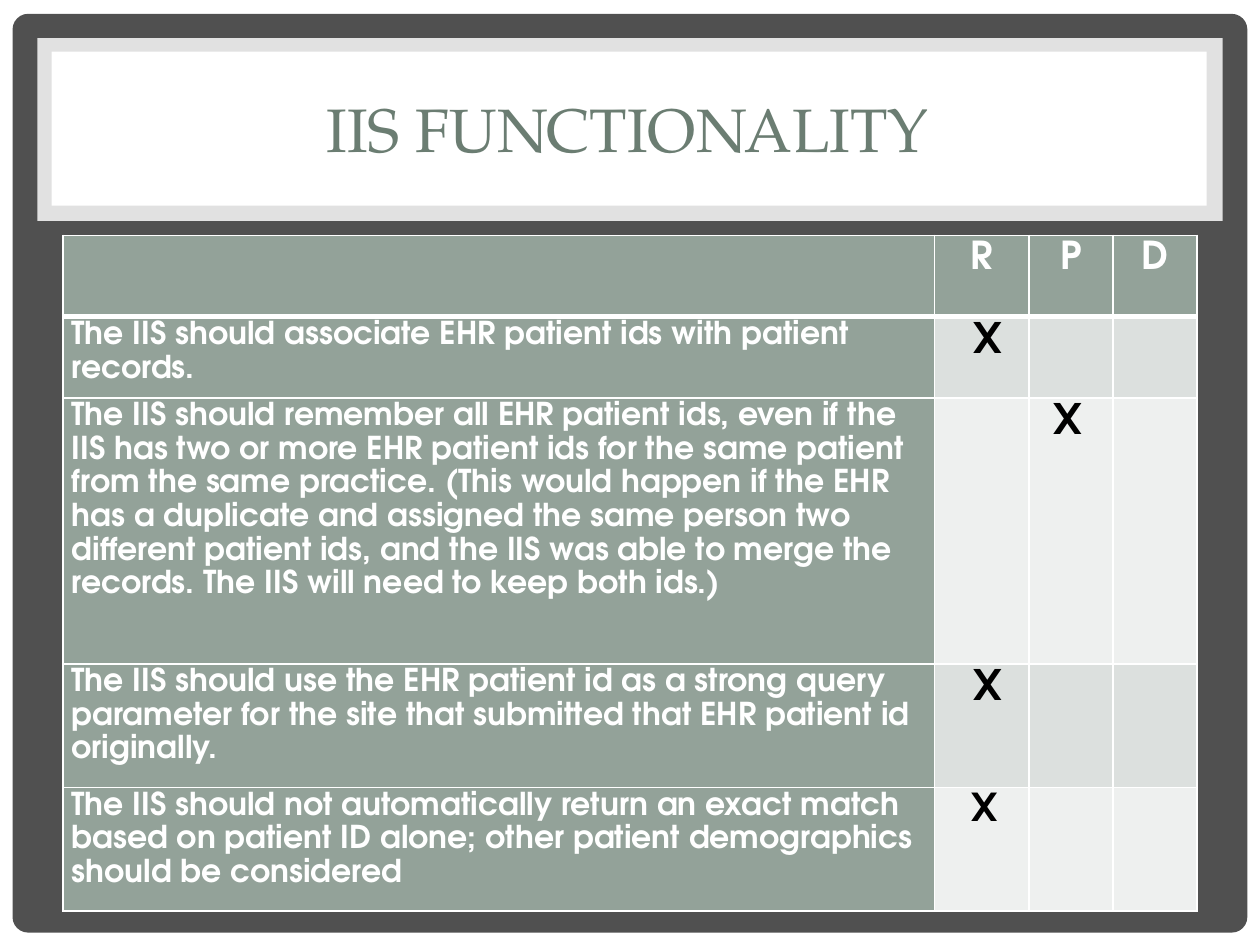
from lxml import etree
from pptx import Presentation
from pptx.dml.color import RGBColor
from pptx.enum.shapes import MSO_SHAPE
from pptx.enum.text import MSO_ANCHOR, PP_ALIGN
from pptx.oxml.ns import qn
from pptx.util import Pt

COLORS = {
    "frame": "505050", "white": "FFFFFF", "title": "6B7D72", "sage": "93A299",
    "band": "DCE0DE", "pale": "EEF0EF", "mark": "000000",
}
TITLE_FONT, BODY_FONT = "TeX Gyre Pagella", "TeX Gyre Adventor"
NBSP = "\u00a0"


def rgb(name):
    """Return a palette colour."""
    return RGBColor.from_string(COLORS[name])


class SlideBuilder:
    """Holds the slide and its style."""

    def __init__(self, slide):
        """Keep the slide and paint its background."""
        self.slide = slide
        slide.background.fill.solid()
        slide.background.fill.fore_color.rgb = rgb("frame")

    def panel(self, box, color, kind=MSO_SHAPE.RECTANGLE, radius=None, alpha=None):
        """Add a filled panel without outline."""
        shape = self.slide.shapes.add_shape(kind, *map(Pt, box))
        shape.shadow.inherit = False
        shape.line.fill.background()
        shape.fill.solid()
        shape.fill.fore_color.rgb = rgb(color)
        if radius is not None:
            shape.adjustments[0] = radius
        if alpha is not None:
            fill_color = shape.element.spPr.find(qn("a:solidFill"))[0]
            etree.SubElement(fill_color, qn("a:alpha"), val=str(alpha * 1000))

    def run(self, paragraph, text, size, color, font=BODY_FONT, bold=True):
        """Add one formatted run."""
        run = paragraph.add_run()
        run.text = text
        run.font.size, run.font.name, run.font.bold = Pt(size), font, bold
        run.font.color.rgb = rgb(color)

    def title(self, text, box):
        """Place the title above the panels."""
        title = self.slide.shapes.title
        title.left, title.top, title.width, title.height = map(Pt, box)
        title.element.getparent().append(title.element)
        frame = title.text_frame
        frame.word_wrap = True
        frame.vertical_anchor = MSO_ANCHOR.MIDDLE
        frame.paragraphs[0].alignment = PP_ALIGN.CENTER
        self.run(frame.paragraphs[0], text, 35, "title", TITLE_FONT, False)

    def borders(self, cell, top=1, bottom=1):
        """Draw white borders; they precede the cell fill."""
        props = cell._tc.get_or_add_tcPr()
        sides = (("L", 1), ("R", 1), ("T", top), ("B", bottom))
        for index, (side, width) in enumerate(sides):
            line = etree.Element(qn(f"a:ln{side}"), w=str(Pt(width)))
            fill = etree.SubElement(line, qn("a:solidFill"))
            etree.SubElement(fill, qn("a:srgbClr"), val=COLORS["white"])
            props.insert(index, line)

    def cell(self, cell, runs, fill, color, centered):
        """Fill one cell with (text, size) runs."""
        cell.fill.solid()
        cell.fill.fore_color.rgb = rgb(fill)
        if not runs:
            return
        cell.margin_left = cell.margin_right = Pt(5)
        cell.margin_top = cell.margin_bottom = 0
        paragraph = cell.text_frame.paragraphs[0]
        paragraph.line_spacing = 1.15
        paragraph.alignment = PP_ALIGN.CENTER if centered else PP_ALIGN.LEFT
        for text, size in runs:
            self.run(paragraph, text, size, color)

    def table(self, left, top, widths, heights, rows):
        """Add the table with a sage header row and first column."""
        table = self.slide.shapes.add_table(
            len(heights), len(widths), Pt(left), Pt(top),
            Pt(sum(widths)), Pt(sum(heights))).table
        for column, width in zip(table.columns, widths):
            column.width = Pt(width)
        for r, (height, row) in enumerate(zip(heights, rows)):
            table.rows[r].height = Pt(height)
            for c, runs in enumerate(row):
                heading = r == 0 or c == 0
                fill = "sage" if heading else ("band" if r % 2 else "pale")
                cell = table.cell(r, c)
                self.cell(cell, runs, fill, "white" if heading else "mark", c > 0)
                self.borders(cell, top=3 if r == 1 else 1, bottom=3 if r == 0 else 1)


REQUIREMENTS = [
    ("The IIS should associate EHR patient ids with patient records.",
     1, [(NBSP + "X", 24)]),
    ("The IIS should remember all EHR patient ids, even if the IIS has two or more "
     "EHR patient ids for the same patient from the same practice. (This would happen "
     "if the EHR has a duplicate and assigned the same person two different patient "
     "ids, and the IIS was able to merge the records. The IIS will need to keep both "
     "ids.)", 2, [("X", 24), (NBSP, 11)]),
    ("The IIS should use the EHR patient id as a strong query parameter for the site "
     "that submitted that EHR patient id originally. ", 1, [(NBSP + "X", 24)]),
    ("The IIS should not automatically return an exact match based on patient ID alone; "
     "other patient demographics should be considered",
     1, [(NBSP, 11), ("X", 22)]),
]


def main():
    """Build and save the slide."""
    deck = Presentation()
    deck.slide_width, deck.slide_height = Pt(720), Pt(540)
    page = SlideBuilder(deck.slides.add_slide(deck.slide_layouts[5]))
    page.panel((0, 0, 720, 540), "white")
    page.panel((7.2, 7.9, 705.6, 525), "frame", MSO_SHAPE.ROUNDED_RECTANGLE, 0.017)
    page.panel((21.3, 21.8, 677.4, 104.4), "white", alpha=83)
    page.panel((29.5, 29.5, 660, 88), "white")
    page.title("IIS FUNCTIONALITY", (33.8, 32.4, 650, 114.5 - 32.4 + 32.4))
    page.slide.shapes.title.height = Pt(82)
    rows = [[[]] + [[(letter, 22)] for letter in "RPD"]]
    for text, column, mark in REQUIREMENTS:
        rows.append([[(text, 18)]] + [mark if c == column else [] for c in (1, 2, 3)])
    page.table(36, 134.5, (498, 54, 48, 48), (46.5, 46.5, 152, 70.5, 70.5), rows)
    deck.save("out.pptx")


main()
